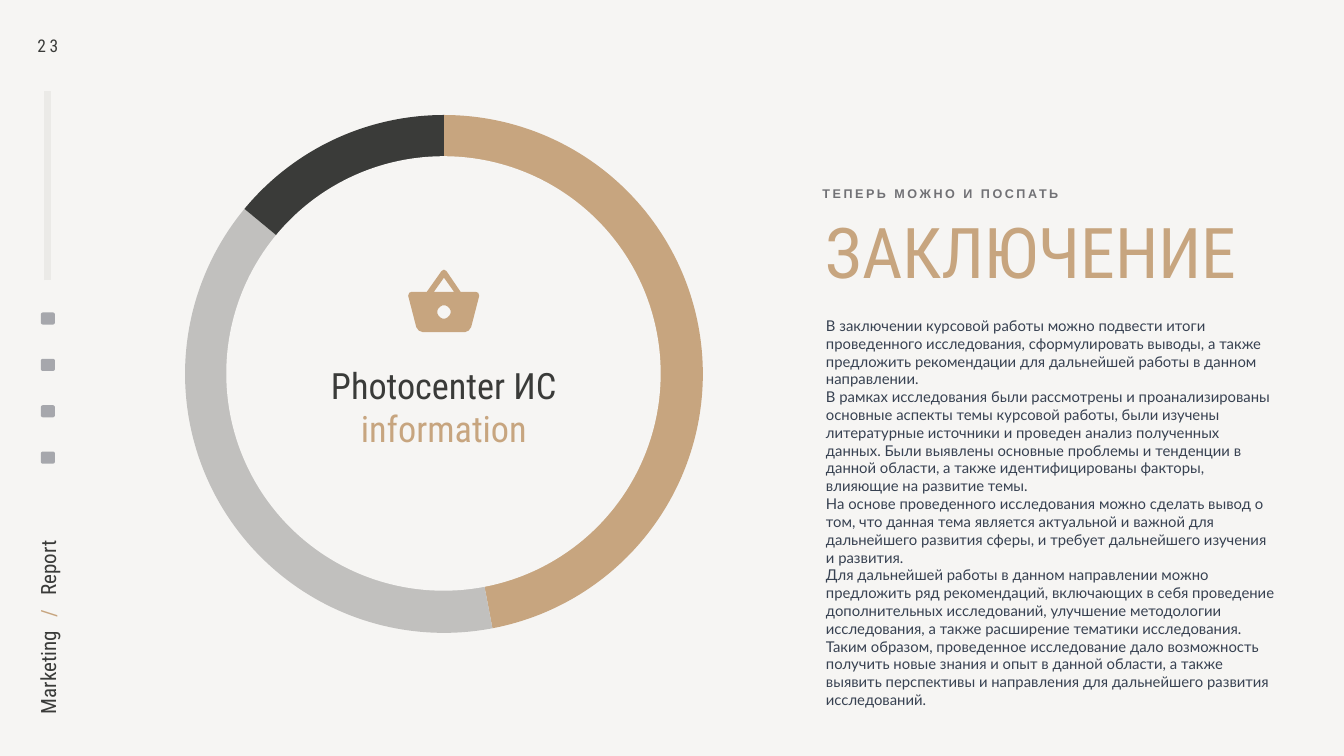
import math
from dataclasses import dataclass

from lxml import etree
from pptx import Presentation
from pptx.chart.data import CategoryChartData
from pptx.dml.color import RGBColor
from pptx.enum.chart import XL_CHART_TYPE
from pptx.enum.shapes import MSO_CONNECTOR, MSO_SHAPE
from pptx.enum.text import MSO_ANCHOR, MSO_AUTO_SIZE, PP_ALIGN
from pptx.oxml import parse_xml
from pptx.oxml.ns import nsdecls, qn
from pptx.util import Pt

EMU_PER_PX = 9144  # 100 px to the inch
LEFT, CENTER = PP_ALIGN.LEFT, PP_ALIGN.CENTER
TOP, MIDDLE = MSO_ANCHOR.TOP, MSO_ANCHOR.MIDDLE
NO_AUTOFIT = MSO_AUTO_SIZE.NONE
OVAL, ROUNDED = MSO_SHAPE.OVAL, MSO_SHAPE.ROUNDED_RECTANGLE
STRAIGHT, PIE = MSO_CONNECTOR.STRAIGHT, XL_CHART_TYPE.PIE


@dataclass(frozen=True)
class Theme:
    paper: str = "F6F5F3"
    dark: str = "3A3B39"
    tan: str = "C7A57F"
    silver: str = "C1C0BE"
    rail: str = "EBEAE7"
    icon: str = "A6A7AC"
    muted: str = "717175"
    body: str = "374151"
    display_font: str = "Roboto Condensed"
    label_font: str = "Arial"
    body_font: str = "Lato"
    title_size: float = 100
    ring_size: float = 51.8
    rail_size: float = 30
    number_size: float = 25
    body_size: float = 21.2
    label_size: float = 18
    chart_size: float = 10


THEME = Theme()

CONCLUSION = [
    "В заключении курсовой работы можно подвести итоги проведенного исследования, сформулировать выводы, "
    "а также предложить рекомендации для дальнейшей работы в данном направлении.",
    "В рамках исследования были рассмотрены и проанализированы основные аспекты темы курсовой работы, были "
    "изучены литературные источники и проведен анализ полученных данных. Были выявлены основные проблемы и "
    "тенденции в данной области, а также идентифицированы факторы, влияющие на развитие темы.",
    "На основе проведенного исследования можно сделать вывод о том, что данная тема является актуальной и "
    "важной для дальнейшего развития сферы, и требует дальнейшего изучения и развития.",
    "Для дальнейшей работы в данном направлении можно предложить ряд рекомендаций, включающих в себя проведение "
    "дополнительных исследований, улучшение методологии исследования, а также расширение тематики исследования.",
    "Таким образом, проведенное исследование дало возможность получить новые знания и опыт в данной области, "
    "а также выявить перспективы и направления для дальнейшего развития исследований.",
]

BASKET = [(914, 579), (886, 538), (881, 535), (876, 538), (847, 579), (817, 579), (812, 581), (810, 587),
          (826, 649), (831, 656), (839, 659), (923, 659), (930, 656), (935, 649),
          (951, 587), (949, 581), (944, 579)]
HANDLE_GAP = [(861, 579), (881, 551), (901, 579)]


def px(length):
    return int(length * EMU_PER_PX)


def rgb(color):
    return RGBColor.from_string(color)


def circle_points(x, y, radius, count=32):
    angles = (math.tau * step / count for step in range(count))
    return [(x + radius * math.cos(a), y + radius * math.sin(a)) for a in angles]


def add_span(para, text, *, size, font, color, bold=False, spacing=0):
    span = para.add_run()
    span.text = text
    span.font.size = Pt(size)
    span.font.name = font
    span.font.bold = bold
    span.font.color.rgb = rgb(color)
    if spacing:
        span._r.get_or_add_rPr().set("spc", str(round(spacing * 100)))


class SlideBuilder:
    def __init__(self, page, theme):
        self.page, self.theme = page, theme
        page.background.fill.solid()
        page.background.fill.fore_color.rgb = rgb(theme.paper)

    def fill_box(self, box, paras, *, align=LEFT, anchor=TOP, wrap=True, line_spacing=None, **style):
        """Each paragraph is a list of (text, format overrides) pairs."""
        frame = box.text_frame
        frame.word_wrap, frame.vertical_anchor, frame.auto_size = wrap, anchor, NO_AUTOFIT
        frame.margin_left = frame.margin_right = frame.margin_top = frame.margin_bottom = px(4)
        for index, spans in enumerate(paras):
            para = frame.add_paragraph() if index else frame.paragraphs[0]
            para.alignment = align
            if line_spacing:
                para.line_spacing = line_spacing
            for text, overrides in spans:
                add_span(para, text, **{**style, **overrides})

    def text(self, left, top, width, height, paras, *, rotation=0, **style):
        box = self.page.shapes.add_textbox(px(left), px(top), px(width), px(height))
        box.rotation = rotation
        self.fill_box(box, paras, **style)

    def placeholder(self, box, left, top, width, height, paras, **style):
        box.left, box.top, box.width, box.height = px(left), px(top), px(width), px(height)
        self.fill_box(box, paras, **style)
        for para in box.text_frame.paragraphs:
            para.space_before = Pt(0)
            properties = para._p.get_or_add_pPr()
            properties.set("marL", "0")
            properties.set("indent", "0")
            etree.SubElement(properties, qn("a:buNone"))

    def paint(self, shape, color):
        shape.shadow.inherit = False
        shape.fill.solid()
        shape.fill.fore_color.rgb = rgb(color)
        shape.line.fill.background()

    def shape(self, kind, left, top, width, height, color):
        self.paint(self.page.shapes.add_shape(kind, px(left), px(top), px(width), px(height)), color)

    def outline(self, contours, color):
        """Contours after the first one cut holes."""
        builder = self.page.shapes.build_freeform(*contours[0][0], scale=EMU_PER_PX)
        builder.add_line_segments(contours[0][1:])
        for contour in contours[1:]:
            builder.move_to(*contour[0])
            builder.add_line_segments(contour[1:])
        self.paint(builder.convert_to_shape(), color)

    def line(self, x1, y1, x2, y2, color, width):
        line = self.page.shapes.add_connector(STRAIGHT, px(x1), px(y1), px(x2), px(y2))
        line.line.color.rgb = rgb(color)
        line.line.width = Pt(width)
        etree.SubElement(line._element.spPr, qn("a:effectLst"))

    def pie(self, left, top, size, values, colors):
        data = CategoryChartData()
        data.categories = [str(number + 1) for number in range(len(values))]
        data.add_series("Series 1", values)
        chart = self.page.shapes.add_chart(PIE, px(left), px(top), px(size), px(size), data).chart
        chart.has_legend = chart.has_title = False
        chart.font.size = Pt(self.theme.chart_size)
        chart.font.name = self.theme.label_font
        chart.font.color.rgb = rgb(self.theme.muted)
        plot = chart.plots[0]
        plot.vary_by_categories = True
        for index, color in enumerate(colors):
            sector = plot.series[0].points[index].format
            sector.fill.solid()
            sector.fill.fore_color.rgb = rgb(color)
            sector.line.fill.background()
        area = chart._chartSpace.chart.plotArea
        for old in area.findall(qn("c:layout")):
            area.remove(old)
        area.insert(0, parse_xml(
            f'<c:layout {nsdecls("c")}><c:manualLayout><c:layoutTarget val="inner"/>'
            '<c:xMode val="edge"/><c:yMode val="edge"/><c:x val="0.005"/><c:y val="0.005"/>'
            '<c:w val="0.99"/><c:h val="0.99"/></c:manualLayout></c:layout>'))


def main():
    deck = Presentation()
    deck.slide_width, deck.slide_height = px(2667), px(1500)
    page = deck.slides.add_slide(deck.slide_layouts[1])
    slide = SlideBuilder(page, THEME)
    display = {"font": THEME.display_font, "color": THEME.dark}

    # Side rail
    slide.text(47, 66, 96, 50, [[("23", {})]], align=CENTER, size=THEME.number_size, spacing=5, **display)
    slide.line(95, 556, 95, 181, THEME.rail, 10)
    for index in range(4):
        slide.shape(ROUNDED, 81, 620 + 92 * index, 28, 24, THEME.icon)
    gap = (" ", {"spacing": 13})
    slide.text(-85, 1212, 360, 58,
               [[("Marketing", {}), gap, ("/", {"color": THEME.tan}), gap, ("Report", {})]],
               rotation=270, anchor=MIDDLE, wrap=False, size=THEME.rail_size, **display)

    # Conclusion
    slide.text(1628, 365, 589, 39, [[("ТЕПЕРЬ МОЖНО И ПОСПАТЬ", {})]], anchor=MIDDLE,
               size=THEME.label_size, font=THEME.label_font, color=THEME.muted, bold=True, spacing=3.6)
    slide.placeholder(page.shapes.title, 1635, 442, 901, 180, [[("ЗАКЛЮЧЕНИЕ", {})]], line_spacing=0.8,
                      size=THEME.title_size, font=THEME.display_font, color=THEME.tan)
    slide.placeholder(page.placeholders[1], 1635, 624, 901, 673, [[(text, {})] for text in CONCLUSION],
                      size=THEME.body_size, font=THEME.body_font, color=THEME.body)

    # Ring with basket
    slide.pie(362, 223, 1038, (47, 39, 14), (THEME.tan, THEME.silver, THEME.dark))
    slide.shape(OVAL, 449, 310, 862, 862, THEME.paper)
    slide.outline([BASKET, HANDLE_GAP, circle_points(881, 619, 13)], THEME.tan)
    slide.text(635, 716, 492, 242, [[("Photocenter ИС", {})], [("information", {"color": THEME.tan})]],
               align=CENTER, size=THEME.ring_size, **display)

    deck.save("out.pptx")


if __name__ == "__main__":
    main()
